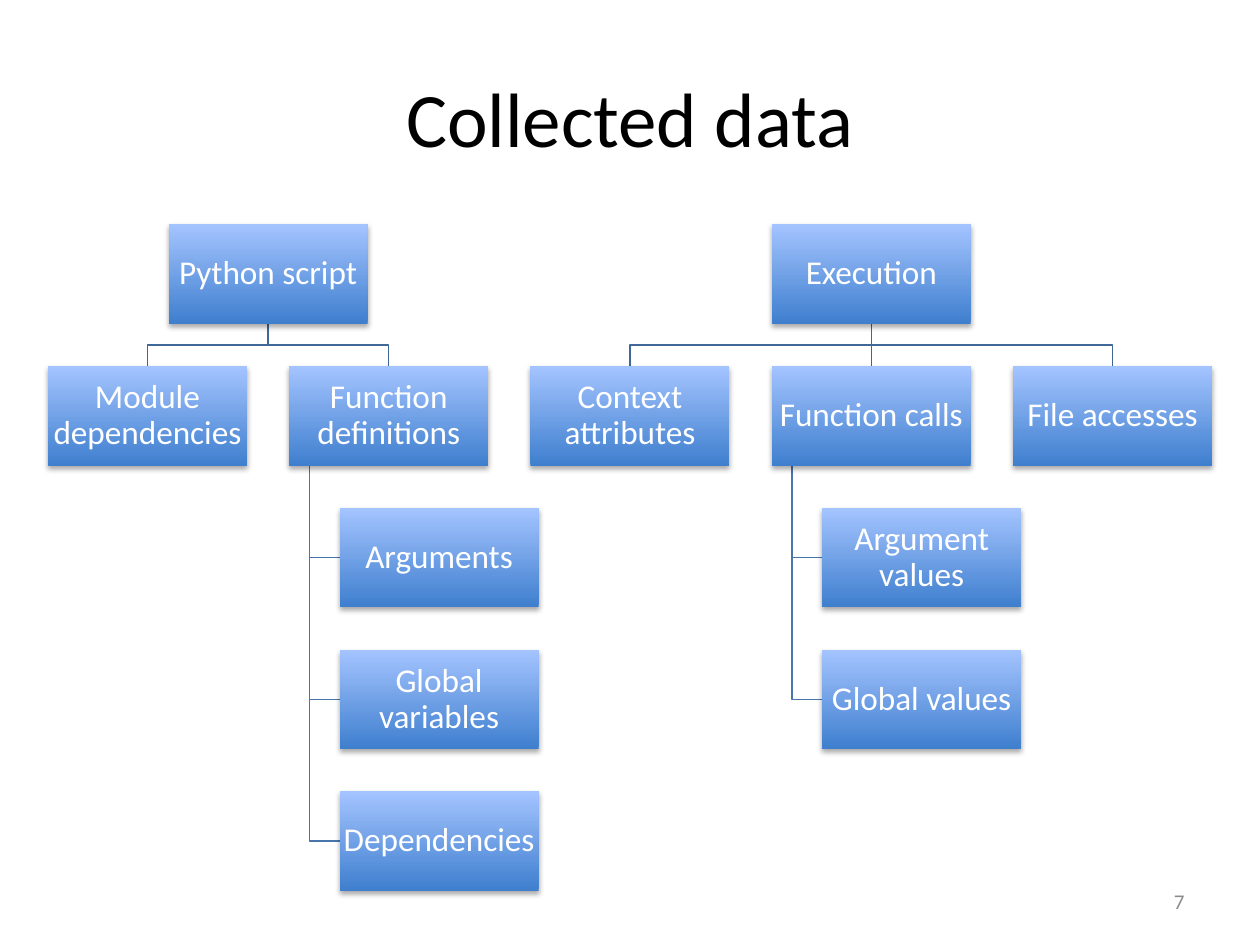
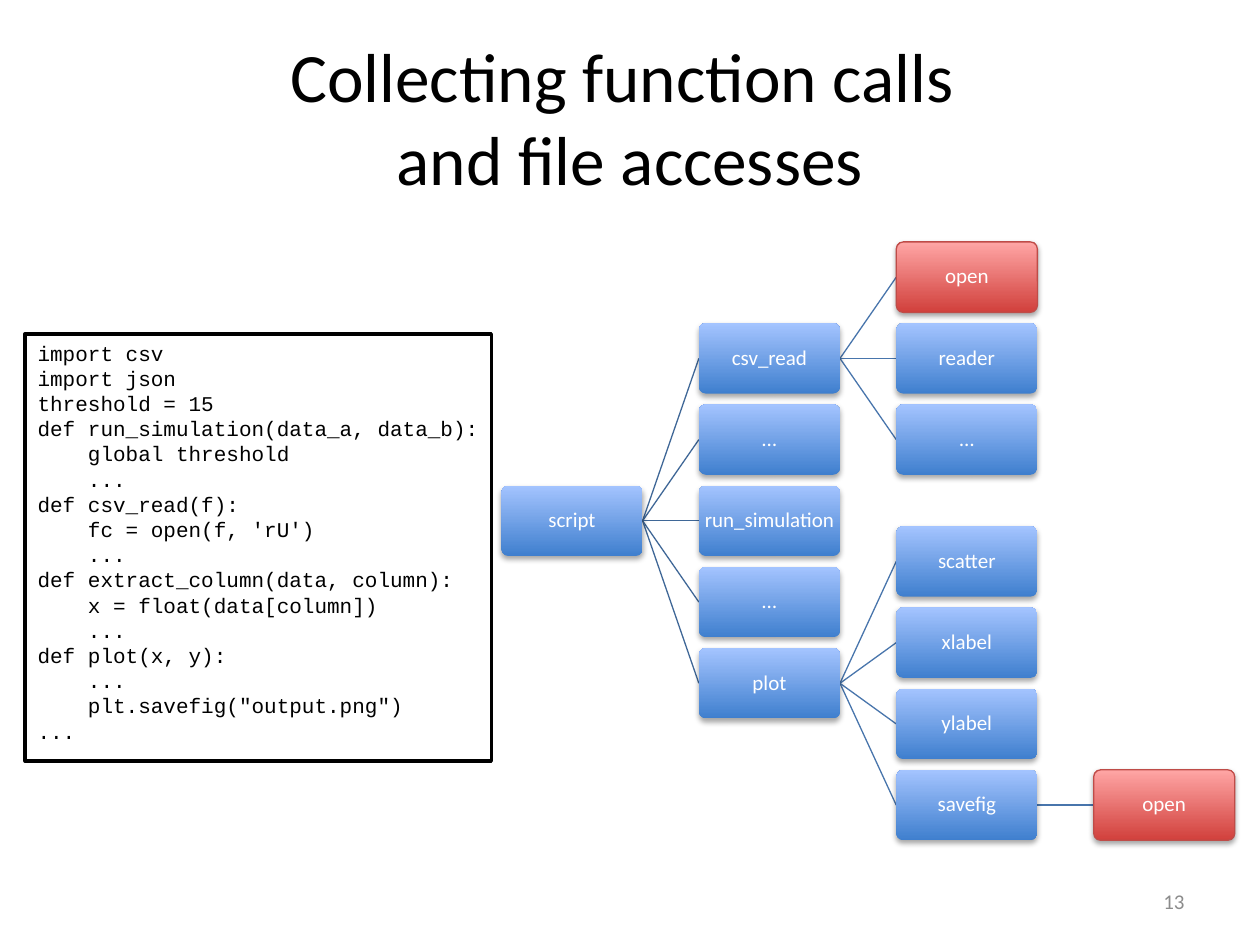
from lxml import etree
from pptx import Presentation
from pptx.dml.color import RGBColor
from pptx.enum import shapes, text
from pptx.oxml import ns
from pptx.util import Inches, Pt

# Shared style
BODY_FONT, CODE_FONT = "Calibri", "Courier New"
BLACK, WHITE, GREY = "000000", "FFFFFF", "8C8C8C"
BLUE = ("3F7FCE", "A4C4FF")
RED = ("D1403C", "FFA6A5")
RED_EDGE = "BF4C48"
FIRST_LINK, DEEP_LINK = "3F6797", "4875AC"

# Data tree: (root, column, [(child, column, [leaves])])
DATA_TREES = [
    ("Python script", 0.5, [
        ("Module dependencies", 0, []),
        ("Function definitions", 1,
         ["Arguments", "Global variables", "Dependencies"])]),
    ("Execution", 3, [
        ("Context attributes", 2, []),
        ("Function calls", 3, ["Argument values", "Global values"]),
        ("File accesses", 4, [])]),
]

# Call tree: (function, row, [calls])
CALL_TREE = ("script", 3, [
    ("csv_read", 1, [("open", 0, []), ("reader", 1, []), ("…", 2, [])]),
    ("…", 2, []),
    ("run_simulation", 3, []),
    ("…", 4, []),
    ("plot", 5, [
        ("scatter", 3.5, []), ("xlabel", 4.5, []), ("ylabel", 5.5, []),
        ("savefig", 6.5, [("open", 6.5, [])])]),
])

CODE = """import csv
import json
threshold = 15
def run_simulation(data_a, data_b):
    global threshold
    ...
def csv_read(f):
    fc = open(f, 'rU')
    ...
def extract_column(data, column):
    x = float(data[column])
    ...
def plot(x, y):
    ...
    plt.savefig("output.png")
..."""


def color(value):
    return RGBColor.from_string(value)


def set_frame(shape, margins, anchor=text.MSO_ANCHOR.MIDDLE):
    frame = shape.text_frame
    frame.word_wrap = True
    frame.vertical_anchor = anchor
    (frame.margin_left, frame.margin_top,
     frame.margin_right, frame.margin_bottom) = map(Inches, margins)
    return frame


def add_run(paragraph, content, size, ink, font=BODY_FONT):
    run = paragraph.add_run()
    run.text = content
    run.font.name, run.font.size = font, Pt(size)
    run.font.color.rgb = color(ink)


def add_label(slide, place, lines, size, ink, align):
    """Plain text box whose lines are parted by line breaks."""
    shape = slide.shapes.add_textbox(*map(Inches, place))
    paragraph = set_frame(shape, (0.1, 0.05, 0.1, 0.05)).paragraphs[0]
    paragraph.alignment = align
    for index, line in enumerate(lines):
        if index:
            paragraph.add_line_break()
        add_run(paragraph, line, size, ink)


def add_slide(presentation, title_lines, title_size, number):
    slide = presentation.slides.add_slide(presentation.slide_layouts[6])
    add_label(slide, (0.5, 0.3, 9, 1.25), title_lines, title_size, BLACK,
              text.PP_ALIGN.CENTER)
    add_label(slide, (7.17, 6.95, 2.33, 0.4), [number], 12, GREY,
              text.PP_ALIGN.RIGHT)
    return slide


def add_shadow(shape):
    shape.shadow.inherit = False
    effects = shape._element.spPr.find(ns.qn("a:effectLst"))
    shadow = etree.SubElement(effects, ns.qn("a:outerShdw"), blurRad="40000",
                              dist="23000", dir="5400000", rotWithShape="0")
    ink = etree.SubElement(shadow, ns.qn("a:srgbClr"), val=BLACK)
    etree.SubElement(ink, ns.qn("a:alpha"), val="35000")


def add_node(slide, kind, place, label, size, gradient=BLUE, edge=None):
    shape = slide.shapes.add_shape(kind, *map(Inches, place))
    if kind == shapes.MSO_SHAPE.ROUNDED_RECTANGLE:
        shape.adjustments[0] = 0.1
    shape.fill.gradient()
    shape.fill.gradient_angle = 90
    for stop, value in zip(shape.fill.gradient_stops, gradient):
        stop.color.rgb = color(value)
    if edge:
        shape.line.color.rgb = color(edge)
        shape.line.width = Pt(0.75)
    else:
        shape.line.fill.background()
    add_shadow(shape)
    paragraph = set_frame(shape, [0.01] * 4).paragraphs[0]
    paragraph.alignment = text.PP_ALIGN.CENTER
    paragraph.line_spacing = 0.9
    add_run(paragraph, label, size, WHITE)


def add_link(slide, points, ink):
    """Straight connector for two points, open outline for more."""
    points = [(Inches(x), Inches(y)) for x, y in points]
    if len(points) == 2:
        link = slide.shapes.add_connector(shapes.MSO_CONNECTOR.STRAIGHT,
                                          *points[0], *points[1])
        etree.SubElement(link._element.spPr, ns.qn("a:effectLst"))
    else:
        builder = slide.shapes.build_freeform(*points[0])
        builder.add_line_segments(points[1:], close=False)
        link = builder.convert_to_shape()
        link.fill.background()
        link.shadow.inherit = False
    link.line.color.rgb = color(ink)
    link.line.width = Pt(0.75)


def add_data_tree(slide, root, root_column, children):
    width, height, indent, trunk = 1.58, 0.79, 0.4, 0.16
    first_left, last_left = 0.38, 8.04
    first_top, last_top = 1.78, 6.28

    def left(column):
        return first_left + (last_left - first_left) / 4 * column

    def top(row):
        return first_top + (last_top - first_top) / 4 * row

    def add_box(label, x, y):
        add_node(slide, shapes.MSO_SHAPE.RECTANGLE, (x, y, width, height),
                 label, 19)

    root_x, root_bottom = left(root_column) + width / 2, top(0) + height
    middle = (root_bottom + top(1)) / 2
    for label, column, leaves in children:
        x = left(column)
        center = x + width / 2
        bends = [] if column == root_column else [(root_x, middle),
                                                  (center, middle)]
        add_link(slide, [(root_x, root_bottom), *bends, (center, top(1))],
                 FIRST_LINK)
        for row, leaf in enumerate(leaves, 2):
            leaf_middle = top(row) + height / 2
            add_link(slide, [(x + trunk, top(1) + height),
                             (x + trunk, leaf_middle),
                             (x + indent, leaf_middle)], DEEP_LINK)
            add_box(leaf, x + indent, top(row))
        add_box(label, x, top(1))
    add_box(root, left(root_column), top(0))


def add_call_tree(slide, node, level=0):
    width, height = 1.12, 0.56
    first_left, last_left = 3.98, 8.68
    first_top, last_top = 1.92, 6.11
    label, row, calls = node

    def left(column):
        return first_left + (last_left - first_left) / 3 * column

    def center(line):
        return first_top + (last_top - first_top) / 6.5 * line + height / 2

    for call in calls:
        add_link(slide, [(left(level) + width, center(row)),
                         (left(level + 1), center(call[1]))],
                 DEEP_LINK if level else FIRST_LINK)
        add_call_tree(slide, call, level + 1)
    # File accesses stand out in red
    style = (RED, RED_EDGE) if label == "open" else (BLUE, None)
    add_node(slide, shapes.MSO_SHAPE.ROUNDED_RECTANGLE,
             (left(level), center(row) - height / 2, width, height),
             label, 12, *style)


def add_code(slide, place, code):
    shape = slide.shapes.add_shape(shapes.MSO_SHAPE.RECTANGLE,
                                   *map(Inches, place))
    shape.shadow.inherit = False
    shape.fill.solid()
    shape.fill.fore_color.rgb = color(WHITE)
    shape.line.color.rgb = color(BLACK)
    shape.line.width = Pt(2)
    frame = set_frame(shape, (0.1, 0.05, 0, 0.05), text.MSO_ANCHOR.TOP)
    for index, line in enumerate(code.splitlines()):
        paragraph = frame.add_paragraph() if index else frame.paragraphs[0]
        paragraph.alignment = text.PP_ALIGN.LEFT
        add_run(paragraph, line, 12, BLACK, CODE_FONT)


def main():
    presentation = Presentation()
    presentation.slide_width = Inches(10)
    presentation.slide_height = Inches(7.5)

    # Collected data
    slide = add_slide(presentation, ["Collected data"], 44, "7")
    for tree in DATA_TREES:
        add_data_tree(slide, *tree)

    # Function calls and file accesses
    slide = add_slide(presentation, ["Collecting function calls ",
                                     "and file accesses"], 39.6, "13")
    add_code(slide, (0.2, 2.65, 3.7, 3.39), CODE)
    add_call_tree(slide, CALL_TREE)

    presentation.save("out.pptx")


if __name__ == "__main__":
    main()
